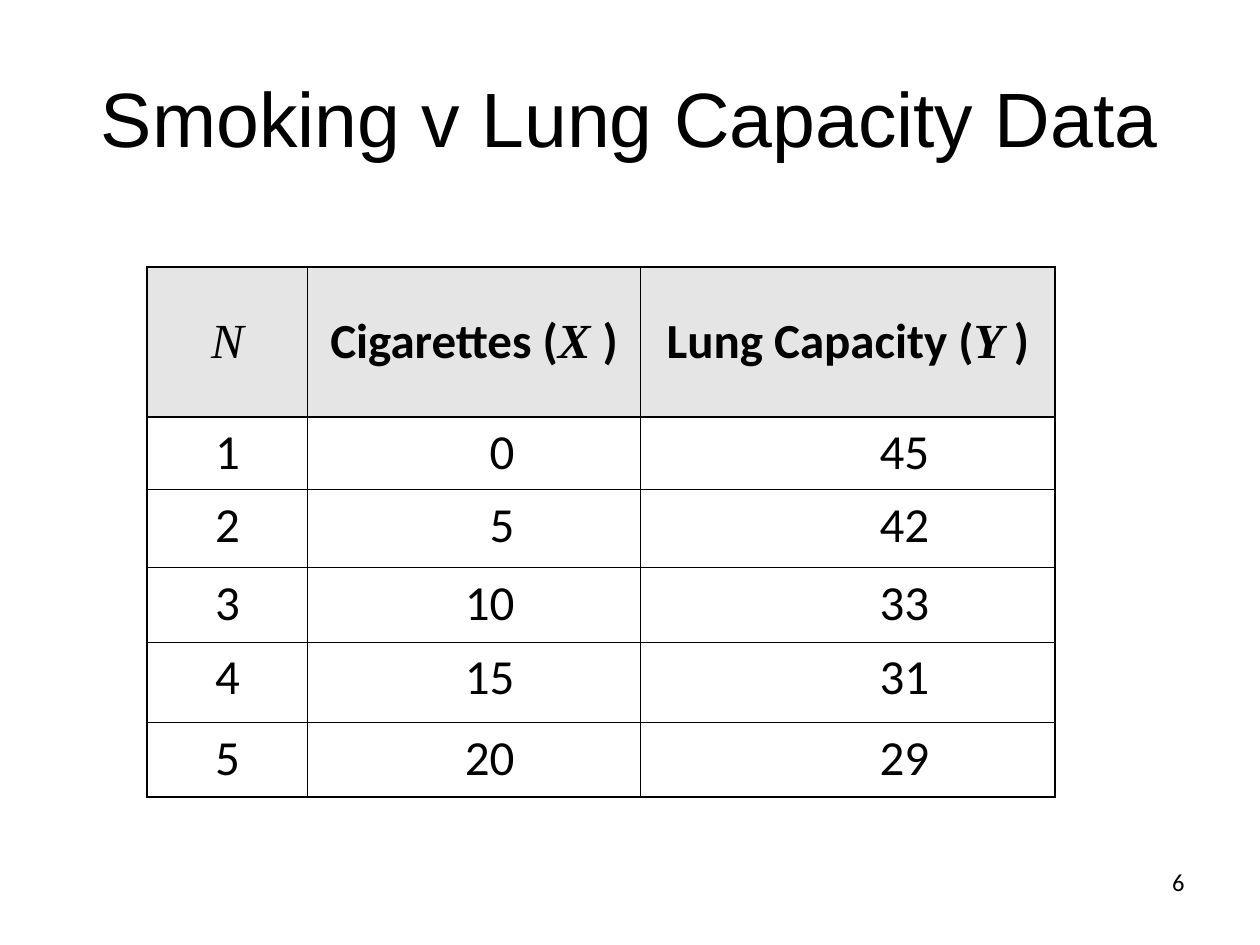
from lxml.etree import SubElement
from pptx import Presentation
from pptx.dml.color import RGBColor
from pptx.enum.text import MSO_ANCHOR, PP_ALIGN
from pptx.oxml import parse_xml
from pptx.oxml.ns import nsdecls, qn
from pptx.util import Cm, Pt

BLACK, HEADER_GREY = "000000", "E5E5E5"
THIN, OUTER, HEADER_RULE = 0.45, 1.08, 1.47
SERIF = {"name": "Times New Roman", "size": Pt(28), "italic": True}
SANS = {"name": "Calibri", "size": Pt(28)}
BOLD_SERIF, BOLD_SANS = SERIF | {"bold": True}, SANS | {"bold": True}
HEADINGS = [
    [("N", SERIF)],
    [("Cigarettes (", BOLD_SANS), ("X ", BOLD_SERIF), (")", BOLD_SANS)],
    [("Lung Capacity (", BOLD_SANS), ("Y ", BOLD_SERIF), (")", BOLD_SANS)],
]
CIGARETTES = [0, 5, 10, 15, 20]
LUNG_CAPACITY = [45, 42, 33, 31, 29]
COLUMN_WIDTHS = [3.23, 6.71, 8.36]
ROW_HEIGHTS = [3.02, 1.47, 1.57, 1.5, 1.63, 1.5]


def colour(hex_value):
    """Return the colour for a hex string."""
    return RGBColor.from_string(hex_value)


def apply(target, values):
    """Set every attribute in values on target."""
    for attribute, value in values.items():
        setattr(target, attribute, value)


def write(frame, runs, paragraph_format):
    """Write formatted runs into the first paragraph of a frame."""
    paragraph = frame.paragraphs[0]
    apply(paragraph, paragraph_format)
    for words, font_format in runs:
        run = paragraph.add_run()
        run.text = words
        apply(run.font, font_format)
        run.font.color.rgb = colour(BLACK)


def add_label(slide, box, runs, alignment, anchor):
    """Place one line of text in a box."""
    frame = slide.shapes.add_textbox(*map(Cm, box)).text_frame
    apply(frame, {"word_wrap": True, "vertical_anchor": anchor})
    write(frame, runs, {"alignment": alignment})


def set_borders(cell, widths):
    """Draw the left, right, top and bottom borders of a cell."""
    properties = cell._tc.get_or_add_tcPr()
    for position, (side, width) in enumerate(zip("LRTB", widths)):
        border = parse_xml(f'<a:ln{side} {nsdecls("a")} w="{Pt(width)}"/>')
        fill = SubElement(border, qn("a:solidFill"))
        SubElement(fill, qn("a:srgbClr"), val=BLACK)
        properties.insert(position, border)


def add_data_table(slide, left, top):
    """Place the smoking and lung capacity table from its top left corner."""
    records = zip(range(1, len(CIGARETTES) + 1), CIGARETTES, LUNG_CAPACITY)
    rows = [HEADINGS] + [[[(str(value), SANS)] for value in record] for record in records]
    box = left, top, sum(COLUMN_WIDTHS), sum(ROW_HEIGHTS)
    table = slide.shapes.add_table(len(rows), len(HEADINGS), *map(Cm, box)).table
    for column, width in zip(table.columns, COLUMN_WIDTHS):
        column.width = Cm(width)
    for row, height in zip(table.rows, ROW_HEIGHTS):
        row.height = Cm(height)

    horizontal = [OUTER, HEADER_RULE] + [THIN] * (len(rows) - 2) + [OUTER]
    vertical = [OUTER] + [THIN] * (len(HEADINGS) - 1) + [OUTER]
    for r, row in enumerate(rows):
        for c, runs in enumerate(row):
            cell = table.cell(r, c)
            is_header, is_measure = r == 0, r > 0 and c > 0
            apply(cell, {
                "vertical_anchor": MSO_ANCHOR.MIDDLE if is_header else MSO_ANCHOR.TOP,
                "margin_right": Cm(2.54 if is_measure else 0.25),
            })
            if is_header:
                cell.fill.solid()
                cell.fill.fore_color.rgb = colour(HEADER_GREY)
            else:
                cell.fill.background()
            write(cell.text_frame, runs, {
                "alignment": PP_ALIGN.RIGHT if is_measure else PP_ALIGN.CENTER,
                "space_before": Pt(7),
            })
            set_borders(cell, vertical[c:c + 2] + horizontal[r:r + 2])


def main():
    """Build and save the slide."""
    deck = Presentation()
    apply(deck, {"slide_width": Cm(25.4), "slide_height": Cm(19.05)})
    slide = deck.slides.add_slide(deck.slide_layouts[6])
    add_label(slide, (1.27, 0.76, 22.86, 3.18),
              [("Smoking v Lung Capacity Data", {"name": "Arial", "size": Pt(44)})],
              PP_ALIGN.CENTER, MSO_ANCHOR.MIDDLE)
    add_data_table(slide, 2.97, 5.38)
    add_label(slide, (18.2, 17.35, 5.93, 1.32),
              [("6", {"name": "Calibri", "size": Pt(14)})],
              PP_ALIGN.RIGHT, MSO_ANCHOR.TOP)
    deck.save("out.pptx")


if __name__ == "__main__":
    main()
